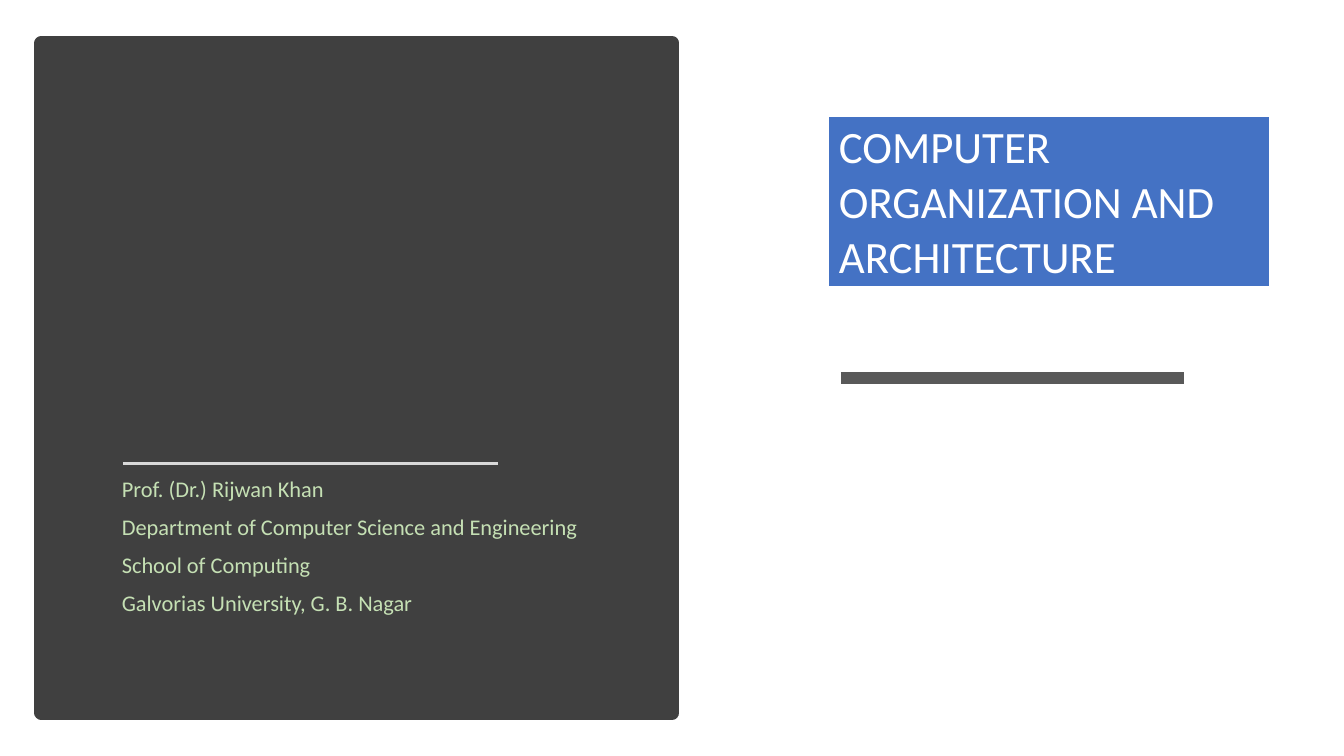
from lxml import etree
from pptx import Presentation
from pptx.dml.color import RGBColor
from pptx.enum import shapes, text
from pptx.oxml import ns
from pptx.util import Inches, Pt

# Content
COURSE = "COMPUTER ORGANIZATION AND ARCHITECTURE"
PRESENTER = [
    "Prof. (Dr.) Rijwan Khan",
    "Department of Computer Science and Engineering",
    "School of Computing",
    "Galvorias University, G. B. Nagar",
]
PANEL_BOX = (0.41, 0.43, 6.26, 6.64)
PRESENTER_BOX = (1.11, 4.69, 4.88, 1.65)
COURSE_BOX = (8.22, 1.15, 4.37, 1.7)
RULES = [  # left, right, y, colour, width in points
    (8.34, 11.74, 3.75, "595959", 8),
    (1.22, 4.94, 4.6, "D9D9D9", 1.75),
]
COURSE_BORDERS = {"lnL": 1, "lnR": 1, "lnT": 1, "lnB": 3}


def paint(color_format, value):
    color_format.rgb = RGBColor.from_string(value)


def write(frame, lines, size, color, font="Calibri", spacing=None, before=None):
    frame.word_wrap = True
    for number, line in enumerate(lines):
        paragraph = frame.paragraphs[0] if number == 0 else frame.add_paragraph()
        paragraph.alignment = text.PP_ALIGN.LEFT
        if spacing is not None:
            paragraph.line_spacing = spacing
        if before is not None:
            paragraph.space_before = Pt(before)
        run = paragraph.add_run()
        run.text = line
        run.font.name = font
        run.font.size = Pt(size)
        paint(run.font.color, color)


def add_rule(slide, left, right, y, color, width):
    rule = slide.shapes.add_connector(
        shapes.MSO_CONNECTOR.STRAIGHT, *map(Inches, (left, y, right, y)))
    paint(rule.line.color, color)
    rule.line.width = Pt(width)
    etree.SubElement(rule._element.spPr, ns.qn("a:effectLst"))


def add_borders(cell, widths, color):
    properties = cell._tc.get_or_add_tcPr()
    for position, (side, width) in enumerate(widths.items()):
        border = etree.Element(ns.qn("a:" + side), w=str(Pt(width)))
        fill = etree.SubElement(border, ns.qn("a:solidFill"))
        etree.SubElement(fill, ns.qn("a:srgbClr"), val=color)
        properties.insert(position, border)


def main():
    deck = Presentation()
    deck.slide_width, deck.slide_height = Inches(13.33), Inches(7.5)
    slide = deck.slides.add_slide(deck.slide_layouts[6])

    # Dark panel
    panel = slide.shapes.add_shape(
        shapes.MSO_SHAPE.RECTANGLE, *map(Inches, PANEL_BOX))
    panel.shadow.inherit = False
    panel.fill.solid()
    paint(panel.fill.fore_color, "404040")
    paint(panel.line.color, "404040")
    panel.line.width = Pt(10)

    # Presenter details
    presenter = slide.shapes.add_textbox(*map(Inches, PRESENTER_BOX))
    write(presenter.text_frame, PRESENTER, 16, "C5E0B4", spacing=0.9, before=10)

    # Rules
    for rule in RULES:
        add_rule(slide, *rule)

    # Course title
    table = slide.shapes.add_table(1, 1, *map(Inches, COURSE_BOX)).table
    table.first_row = table.horz_banding = False
    course = table.cell(0, 0)
    course.fill.solid()
    paint(course.fill.fore_color, "4472C4")
    add_borders(course, COURSE_BORDERS, "FFFFFF")
    write(course.text_frame, [COURSE], 32, "FFFFFF")

    deck.save("out.pptx")


if __name__ == "__main__":
    main()
